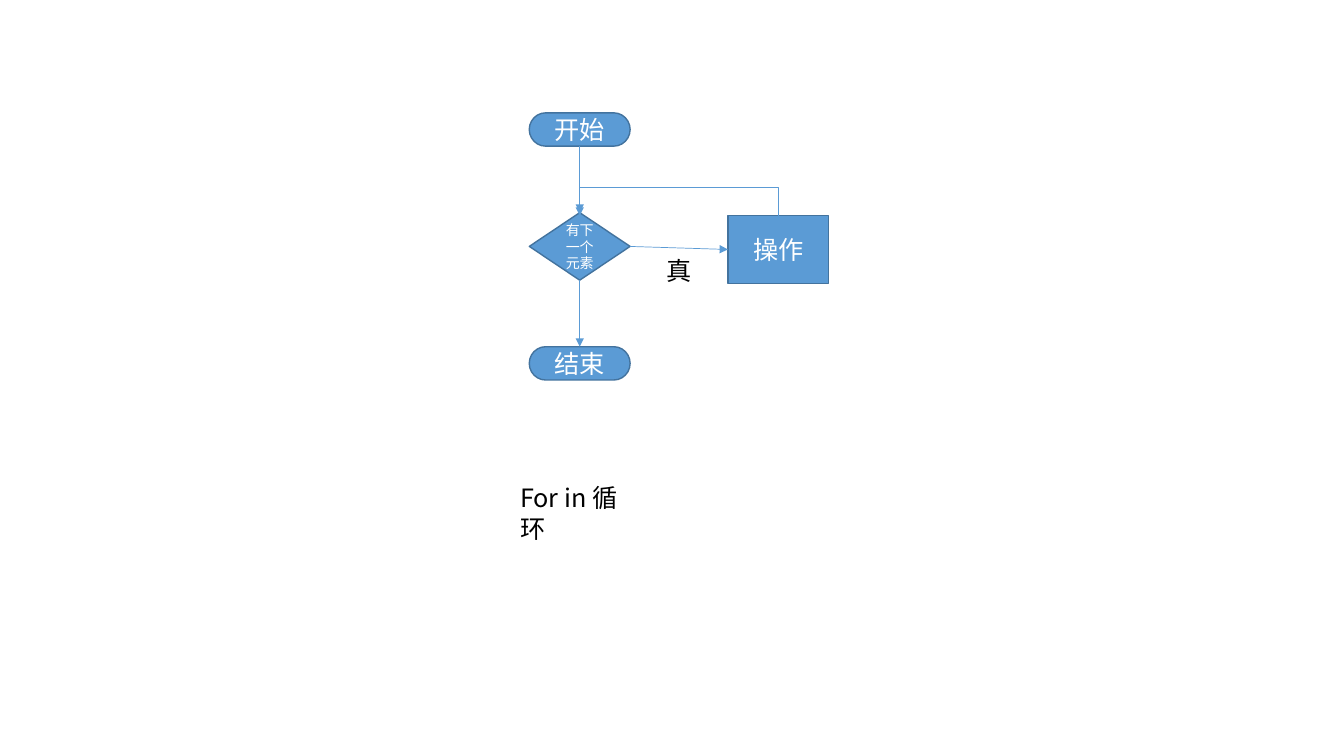
from dataclasses import dataclass

from lxml.etree import SubElement
from pptx import Presentation
from pptx.dml.color import RGBColor
from pptx.enum.shapes import MSO_CONNECTOR, MSO_SHAPE
from pptx.enum.text import MSO_ANCHOR, PP_ALIGN
from pptx.oxml.ns import qn
from pptx.shapes.connector import Connector
from pptx.slide import Slide
from pptx.text.text import TextFrame
from pptx.util import Inches, Pt


@dataclass(frozen=True)
class Theme:
    font: str = "Noto Sans CJK SC"
    fill: RGBColor = RGBColor(0x5B, 0x9B, 0xD5)
    outline: RGBColor = RGBColor(0x43, 0x73, 0x9E)
    light: RGBColor = RGBColor(0xFF, 0xFF, 0xFF)
    dark: RGBColor = RGBColor(0, 0, 0)
    body_size: int = 18
    small_size: int = 10
    outline_width: float = 1
    arrow_width: float = 0.5


THEME = Theme()


@dataclass(frozen=True)
class Step:
    text: str
    kind: MSO_SHAPE
    left: float
    top: float
    height: float
    size: int = THEME.body_size
    width: float = 1

    @property
    def center(self) -> float:
        return self.left + self.width / 2

    @property
    def middle(self) -> float:
        return self.top + self.height / 2

    @property
    def right(self) -> float:
        return self.left + self.width

    @property
    def bottom(self) -> float:
        return self.top + self.height


@dataclass(frozen=True)
class Label:
    text: str
    left: float
    top: float
    width: float
    wrap: bool
    height: float = 0.4


def write_text(frame: TextFrame, text: str, *, size: int = THEME.body_size,
               color: RGBColor = THEME.dark, align: PP_ALIGN = PP_ALIGN.LEFT,
               anchor: MSO_ANCHOR = MSO_ANCHOR.TOP, wrap: bool = True) -> None:
    frame.word_wrap = wrap
    frame.vertical_anchor = anchor
    para = frame.paragraphs[0]
    para.alignment = align
    span = para.add_run()
    span.text = text
    span.font.size = Pt(size)
    span.font.name = THEME.font
    span.font.color.rgb = color
    SubElement(span.font._element, qn("a:ea"), typeface=THEME.font)


def draw_step(page: Slide, step: Step) -> None:
    box = page.shapes.add_shape(step.kind, Inches(step.left), Inches(step.top),
                                Inches(step.width), Inches(step.height))
    box.shadow.inherit = False
    box.fill.solid()
    box.fill.fore_color.rgb = THEME.fill
    box.line.color.rgb = THEME.outline
    box.line.width = Pt(THEME.outline_width)
    write_text(box.text_frame, step.text, size=step.size, color=THEME.light,
               align=PP_ALIGN.CENTER, anchor=MSO_ANCHOR.MIDDLE)


def draw_label(page: Slide, label: Label) -> None:
    box = page.shapes.add_textbox(Inches(label.left), Inches(label.top),
                                  Inches(label.width), Inches(label.height))
    write_text(box.text_frame, label.text, wrap=label.wrap)


def draw_arrow(page: Slide, x1: float, y1: float, x2: float, y2: float,
               kind: MSO_CONNECTOR = MSO_CONNECTOR.STRAIGHT) -> Connector:
    arrow = page.shapes.add_connector(kind, Inches(x1), Inches(y1), Inches(x2), Inches(y2))
    arrow.line.color.rgb = THEME.fill
    arrow.line.width = Pt(THEME.arrow_width)
    SubElement(arrow.line._get_or_add_ln(), qn("a:tailEnd"), type="triangle")
    SubElement(arrow._element.spPr, qn("a:effectLst"))
    return arrow


def draw_loop_back(page: Slide, source: Step, target: Step, rise: float) -> None:
    """Lead up from the source's top, across, and down onto the target's top."""
    drop = source.top - target.top
    span = source.center - target.center
    center_x = (source.center + target.center) / 2
    center_y = (source.top + target.top) / 2
    # The connector is laid out upright, then turned by 270 degrees
    arrow = draw_arrow(page, center_x - drop / 2, center_y + span / 2,
                       center_x + drop / 2, center_y - span / 2, MSO_CONNECTOR.ELBOW)
    properties = arrow._element.spPr
    properties.find(qn("a:xfrm")).set("rot", str(270 * 60000))
    geometry = properties.find(qn("a:prstGeom"))
    adjustments = geometry.find(qn("a:avLst"))
    if adjustments is None:
        adjustments = SubElement(geometry, qn("a:avLst"))
    SubElement(adjustments, qn("a:gd"), name="adj1",
               fmla=f"val {round(rise / drop * 100000)}")


# Flowchart content
START = Step("开始", MSO_SHAPE.FLOWCHART_TERMINATOR, 5.25, 1.12, 0.33)
CHECK = Step("有下一个元素", MSO_SHAPE.FLOWCHART_DECISION, 5.25, 2.11, 0.67,
             THEME.small_size)
ACTION = Step("操作", MSO_SHAPE.FLOWCHART_PROCESS, 7.22, 2.14, 0.67)
FINISH = Step("结束", MSO_SHAPE.FLOWCHART_TERMINATOR, 5.25, 3.44, 0.33)
LABELS = (
    Label("真", 6.51, 2.48, 0.45, wrap=False),
    Label("For in 循环", 5.06, 4.74, 1.39, wrap=True),
)

deck = Presentation()
deck.slide_width, deck.slide_height = Inches(13.33), Inches(7.5)
page = deck.slides.add_slide(deck.slide_layouts[6])

# Steps
for step in (START, CHECK, ACTION, FINISH):
    draw_step(page, step)

# Arrows
draw_arrow(page, START.center, START.bottom, CHECK.center, ACTION.top)
draw_arrow(page, CHECK.right, CHECK.middle, ACTION.left, ACTION.middle)
draw_arrow(page, CHECK.center, CHECK.bottom, FINISH.center, FINISH.top)
draw_loop_back(page, ACTION, CHECK, rise=0.28)

# Branch label and caption
for label in LABELS:
    draw_label(page, label)

deck.save("out.pptx")
